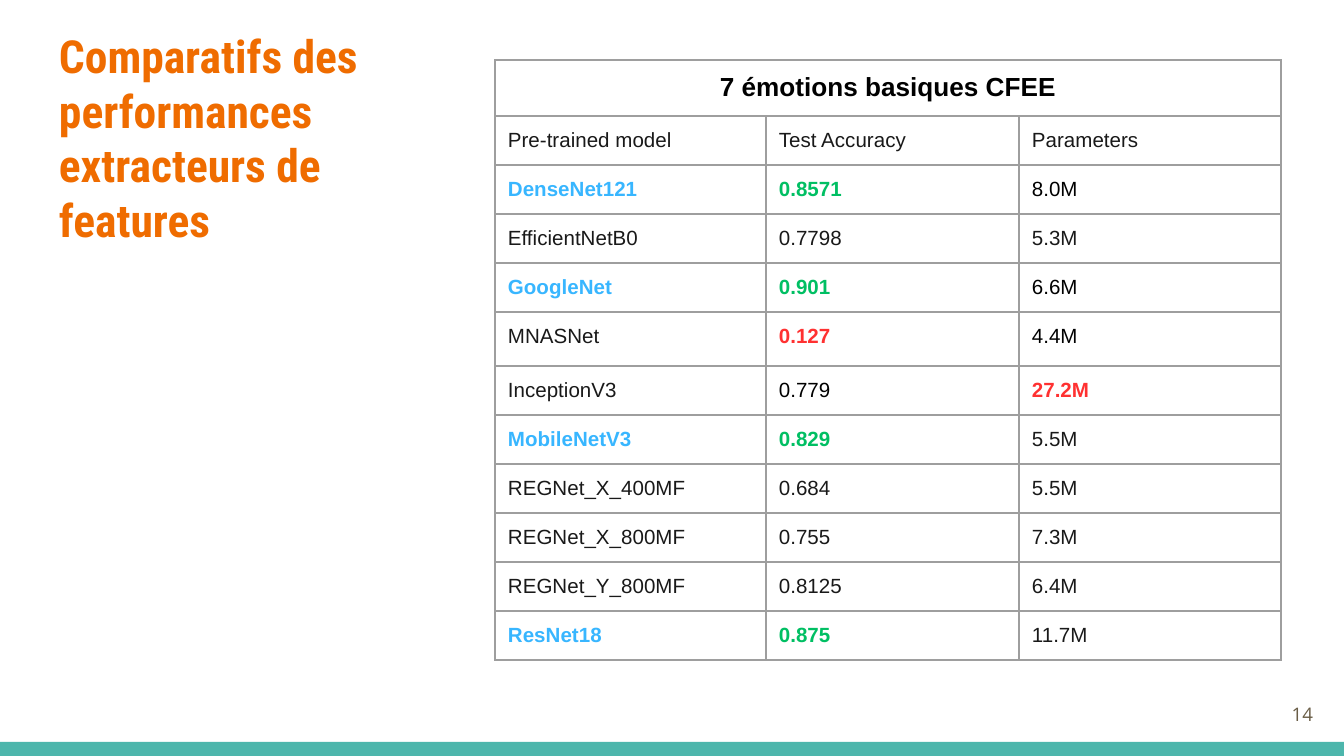
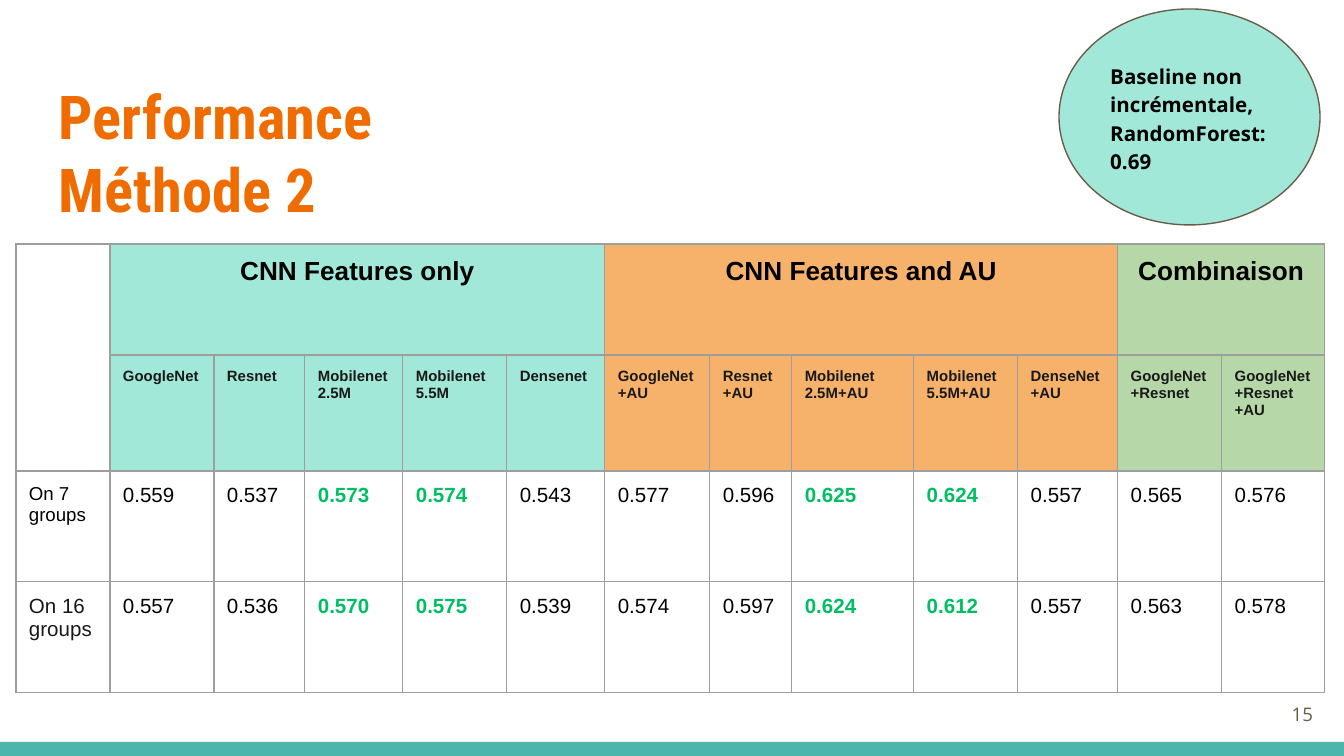
from lxml.etree import SubElement
from pptx import Presentation
from pptx.dml.color import RGBColor
from pptx.enum.shapes import MSO_SHAPE
from pptx.enum.text import MSO_ANCHOR, MSO_AUTO_SIZE, PP_ALIGN
from pptx.oxml.ns import qn
from pptx.util import Emu, Pt

SLIDE_W, SLIDE_H = 1344, 756
EMU_PER_PX = 914400 / 134.4
INSET = 13

TEAL = RGBColor(0x4D, 0xB6, 0xAC)
ORANGE = RGBColor(0xEF, 0x6C, 0x00)
BROWN = RGBColor(0x69, 0x5D, 0x46)
BLACK = RGBColor(0x00, 0x00, 0x00)
INK = RGBColor(0x19, 0x19, 0x19)
BLUE = RGBColor(0x38, 0xB6, 0xFF)
GREEN = RGBColor(0x00, 0xBF, 0x63)
RED = RGBColor(0xFF, 0x31, 0x31)
MINT = RGBColor(0xA1, 0xE8, 0xD9)
PEACH = RGBColor(0xF6, 0xB2, 0x6B)
SAGE = RGBColor(0xB6, 0xD7, 0xA8)
BORDER = "9E9E9E"

TITLE_FONT, BODY_FONT, TABLE_FONT = "Roboto Condensed", "Open Sans", "Arial"

EXTRACTORS = [
    ("Pre-trained model", "Test Accuracy", "Parameters"),
    ("DenseNet121", "0.8571", "8.0M"),
    ("EfficientNetB0", "0.7798", "5.3M"),
    ("GoogleNet", "0.901", "6.6M"),
    ("MNASNet", "0.127", "4.4M"),
    ("InceptionV3", "0.779", "27.2M"),
    ("MobileNetV3", "0.829", "5.5M"),
    ("REGNet_X_400MF", "0.684", "5.5M"),
    ("REGNet_X_800MF", "0.755", "7.3M"),
    ("REGNet_Y_800MF", "0.8125", "6.4M"),
    ("ResNet18", "0.875", "11.7M"),
]
BEST_MODELS = {"DenseNet121", "GoogleNet", "MobileNetV3", "ResNet18"}
WORST_VALUES = {"0.127", "27.2M"}
BLACK_VALUES = {"8.0M", "6.6M", "4.4M", "0.779"}

# Each group: heading, fill, then (features, score on 7 groups, score on 16 groups)
FEATURE_GROUPS = [
    ("CNN Features only", MINT, [
        ("GoogleNet", "0.559", "0.557"),
        ("Resnet", "0.537", "0.536"),
        ("Mobilenet 2.5M", "0.573", "0.570"),
        ("Mobilenet 5.5M", "0.574", "0.575"),
        ("Densenet", "0.543", "0.539"),
    ]),
    ("CNN Features and AU", PEACH, [
        ("GoogleNet +AU", "0.577", "0.574"),
        ("Resnet +AU", "0.596", "0.597"),
        ("Mobilenet 2.5M+AU", "0.625", "0.624"),
        ("Mobilenet 5.5M+AU", "0.624", "0.612"),
        ("DenseNet+AU", "0.557", "0.557"),
    ]),
    ("Combinaison", SAGE, [
        ("GoogleNet+Resnet", "0.565", "0.563"),
        ("GoogleNet+Resnet +AU", "0.576", "0.578"),
    ]),
]


def px(n):
    return Emu(round(n * EMU_PER_PX))


def set_text(tf, text, font, size, color, bold=False, align=PP_ALIGN.LEFT):
    tf.text = text
    p = tf.paragraphs[0]
    p.alignment = align
    for r in p.runs:
        r.font.name = font
        r.font.size = Pt(size)
        r.font.bold = bold
        r.font.color.rgb = color


def set_frame(tf, anchor):
    tf.word_wrap = True
    tf.auto_size = MSO_AUTO_SIZE.NONE
    tf.vertical_anchor = anchor
    tf.margin_left = tf.margin_right = tf.margin_top = tf.margin_bottom = px(INSET)


def add_solid(slide, kind, left, top, width, height, color):
    sp = slide.shapes.add_shape(kind, px(left), px(top), px(width), px(height))
    sp.shadow.inherit = False
    sp.fill.solid()
    sp.fill.fore_color.rgb = color
    sp.line.fill.background()
    return sp


def move_band_to_layout(slide):
    """Give the slide's layout the bottom band in place of its footer placeholders."""
    layout = slide.slide_layout
    for ph in list(layout.placeholders)[1:]:
        ph.element.getparent().remove(ph.element)
    band = add_solid(slide, MSO_SHAPE.RECTANGLE, 0, 742, SLIDE_W, 14, TEAL)
    layout.shapes.element.append(band.element)


def add_slide(prs, title, top, width, size, number):
    slide = prs.slides.add_slide(prs.slide_layouts[5])
    sp = slide.shapes.title
    sp.left, sp.top, sp.width, sp.height = px(46), px(top), px(width), px(103)
    set_frame(sp.text_frame, MSO_ANCHOR.TOP)
    set_text(sp.text_frame, title, TITLE_FONT, size, ORANGE, bold=True)

    tf = slide.shapes.add_textbox(px(1246), px(685), px(80), px(58)).text_frame
    set_frame(tf, MSO_ANCHOR.MIDDLE)
    set_text(tf, number, BODY_FONT, 10, BROWN, align=PP_ALIGN.RIGHT)
    return slide


def add_borders(cell):
    tc_pr = cell._tc.get_or_add_tcPr()
    for side in ("a:lnL", "a:lnR", "a:lnT", "a:lnB"):
        ln = SubElement(tc_pr, qn(side), w=str(Pt(0.75)))
        SubElement(SubElement(ln, qn("a:solidFill")), qn("a:srgbClr"), val=BORDER)


def add_grid(slide, left, top, widths, heights):
    """Add a bordered table without fills or banding."""
    table = slide.shapes.add_table(len(heights), len(widths), px(left), px(top),
                                   px(sum(widths)), px(sum(heights))).table
    table.first_row = table.horz_banding = False
    for column, width in zip(table.columns, widths):
        column.width = px(width)
    for row, height in zip(table.rows, heights):
        row.height = px(height)
    for cell in table.iter_cells():
        cell.margin_left = cell.margin_right = px(INSET)
        cell.margin_top = cell.margin_bottom = px(INSET)
        add_borders(cell)
        cell.fill.background()
    return table


def fill_cell(cell, text, size=11, color=INK, bold=False, fill=None, align=PP_ALIGN.LEFT):
    set_text(cell.text_frame, text, TABLE_FONT, size, color, bold, align)
    if fill is not None:
        cell.fill.solid()
        cell.fill.fore_color.rgb = fill


def add_heading(table, first, last, text, fill=None):
    """Merge top-row cells from first to last under one centred heading."""
    cell = table.cell(0, first)
    cell.merge(table.cell(0, last))
    fill_cell(cell, text, 14, BLACK, True, fill, PP_ALIGN.CENTER)


def extractor_color(model, column, text):
    if text in WORST_VALUES:
        return RED
    if model in BEST_MODELS and column < 2:
        return (BLUE, GREEN)[column]
    return BLACK if text in BLACK_VALUES else INK


def add_extractor_table(slide):
    heights = [56] + [49] * len(EXTRACTORS)
    heights[5] = 54
    table = add_grid(slide, 495, 60, [271, 253, 262], heights)
    add_heading(table, 0, 2, "7 émotions basiques CFEE")
    for i, row in enumerate(EXTRACTORS, 1):
        for j, text in enumerate(row):
            color = extractor_color(row[0], j, text)
            fill_cell(table.cell(i, j), text, color=color, bold=color in (BLUE, GREEN, RED))


def add_feature_table(slide):
    widths = [94, 104, 91, 98, 104, 98, 105, 82, 122, 104, 100, 104, 103]
    table = add_grid(slide, 16, 244, widths, [111, 116, 111, 111])
    table.cell(0, 0).merge(table.cell(1, 0))
    fill_cell(table.cell(2, 0), "On 7 groups", 10, BLACK)
    fill_cell(table.cell(3, 0), "On 16 groups")
    col = 1
    for heading, fill, models in FEATURE_GROUPS:
        add_heading(table, col, col + len(models) - 1, heading, fill)
        for features, *scores in models:
            fill_cell(table.cell(1, col), features, 8, bold=True, fill=fill)
            best = features.startswith("Mobilenet")
            for row, score in enumerate(scores, 2):
                fill_cell(table.cell(row, col), score, color=GREEN if best else BLACK, bold=best)
            col += 1


def add_baseline(slide):
    sp = add_solid(slide, MSO_SHAPE.OVAL, 1059, 9, 261, 216, MINT)
    sp.line.color.rgb = BROWN
    sp.line.width = Pt(0.75)
    tf = sp.text_frame
    set_frame(tf, MSO_ANCHOR.MIDDLE)
    set_text(tf, "Baseline non incrémentale, RandomForest: 0.69", BODY_FONT, 11, BLACK, bold=True)
    tf.paragraphs[0].line_spacing = 1.15


def main():
    prs = Presentation()
    prs.slide_width, prs.slide_height = px(SLIDE_W), px(SLIDE_H)

    s = add_slide(prs, "Comparatifs des performances extracteurs de features", 15, 429, 24.4, "14")
    move_band_to_layout(s)
    add_extractor_table(s)

    s = add_slide(prs, "Performance Méthode 2", 66, 554, 32.4, "15")
    add_baseline(s)
    add_feature_table(s)

    prs.save("out.pptx")


if __name__ == "__main__":
    main()
